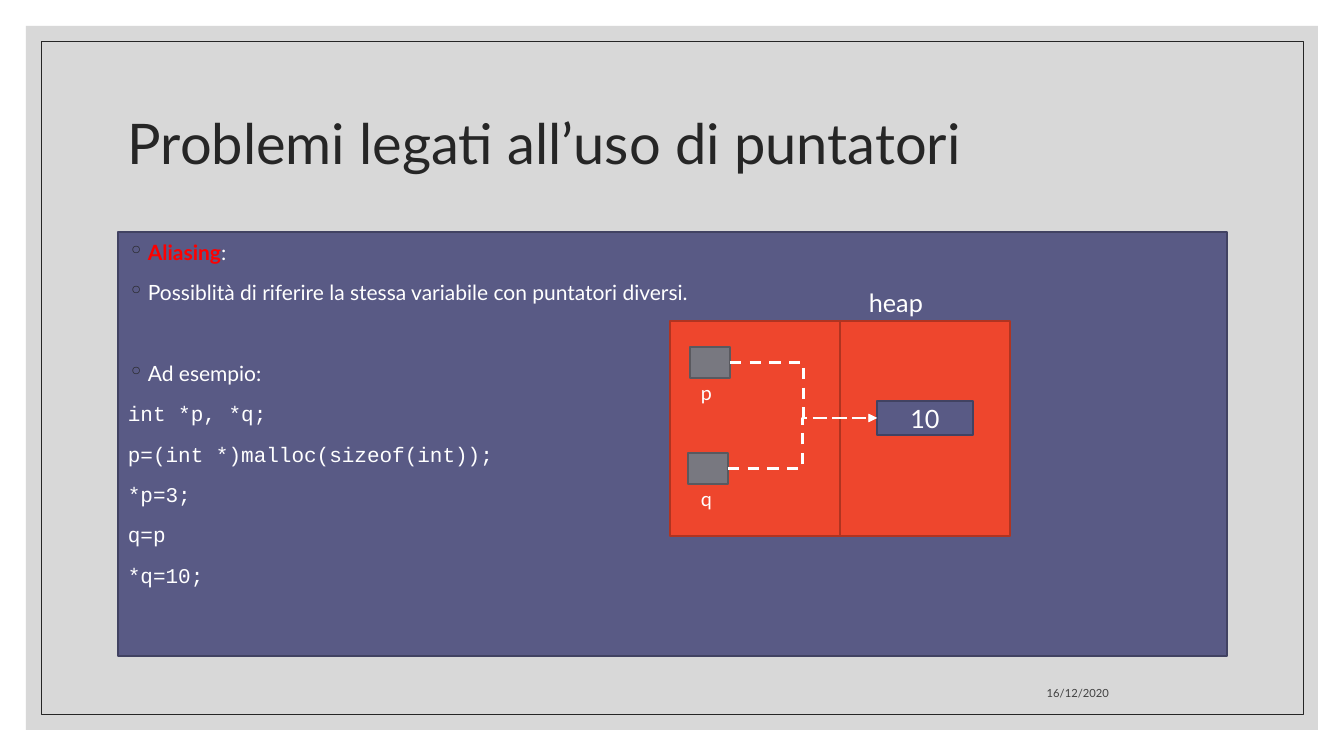
from lxml.etree import SubElement
from pptx import Presentation
from pptx.dml.color import RGBColor
from pptx.enum.dml import MSO_LINE
from pptx.enum.shapes import MSO_CONNECTOR, MSO_SHAPE
from pptx.enum.text import MSO_ANCHOR as Anchor, PP_ALIGN as Align
from pptx.oxml.ns import qn
from pptx.util import Pt

SANS, MONO = "Lato", "Courier New"
WHITE = RGBColor(0xFF, 0xFF, 0xFF)
RED = RGBColor(0xFF, 0x00, 0x00)
INK = RGBColor(0x26, 0x26, 0x26)
DATE_GREY = RGBColor(0x40, 0x40, 0x40)
FRAME_GREY = RGBColor(0xBF, 0xBF, 0xBF)
INDIGO = RGBColor(0x59, 0x5A, 0x85)
INDIGO_EDGE = RGBColor(0x41, 0x42, 0x62)
ORANGE = RGBColor(0xEE, 0x46, 0x2D)
ORANGE_EDGE = RGBColor(0xB0, 0x34, 0x21)
GREY = RGBColor(0x78, 0x78, 0x80)
GREY_EDGE = RGBColor(0x59, 0x59, 0x5F)

TITLE = "Problemi legati all’uso di puntatori"
DATE = "16/12/2020"
HEAP_LABEL = "heap"
HEAP_VALUE = "10"
POINTS = [
    ([("Aliasing", True), (":", False)], 0),
    ([("Possiblità di riferire la stessa variabile con puntatori diversi.", False)], 9),
    ([("Ad esempio:", False)], 38),
]
CODE = ["int *p, *q;", "p=(int *)malloc(sizeof(int));", "*p=3;", "q=p", "*q=10;"]
POINTERS = [("p", 690, 347), ("q", 688, 453)]

HEAP_LEFT, HEAP_TOP, CELL_WIDTH, CELL_HEIGHT = 670, 321, 170, 215
POINTER_WIDTH, POINTER_HEIGHT = 40, 31
BULLET_INDENT = 20


def px(length):
    return round(length * 914400 / 100.8)


deck = Presentation()
deck.slide_width, deck.slide_height = px(1344), px(756)
slide = deck.slides.add_slide(deck.slide_layouts[6])


def add_rect(left, top, width, height, fill=None, edge=None, weight=2):
    rect = slide.shapes.add_shape(
        MSO_SHAPE.RECTANGLE, px(left), px(top), px(width), px(height))
    rect.shadow.inherit = False
    if fill is None:
        rect.fill.background()
    else:
        rect.fill.solid()
        rect.fill.fore_color.rgb = fill
    if edge is None:
        rect.line.fill.background()
    else:
        rect.line.color.rgb = edge
        rect.line.width = Pt(weight)
    return rect


def add_box(left, top, width, height):
    return slide.shapes.add_textbox(px(left), px(top), px(width), px(height))


def write(paragraph, text, size=15, font=SANS, color=WHITE, bold=False,
          align=Align.LEFT, spacing=1.0, before=0):
    paragraph.alignment = align
    paragraph.line_spacing = spacing
    paragraph.space_before = Pt(before)
    run = paragraph.add_run()
    run.text = text
    run.font.size = Pt(size)
    run.font.name = font
    run.font.color.rgb = color
    run.font.bold = bold


def open_text(shape, anchor=Anchor.TOP):
    frame = shape.text_frame
    frame.word_wrap = True
    frame.vertical_anchor = anchor
    return frame.paragraphs[0]


def add_bullet(paragraph):
    properties = paragraph._p.get_or_add_pPr()
    properties.set("marL", str(px(BULLET_INDENT)))
    properties.set("indent", str(-px(BULLET_INDENT)))
    color = SubElement(properties, qn("a:buClr"))
    SubElement(color, qn("a:srgbClr")).set("val", str(INK))
    SubElement(properties, qn("a:buChar")).set("char", "◦")


def add_arrow(source, target):
    arrow = slide.shapes.add_connector(MSO_CONNECTOR.ELBOW, 0, 0, 0, 0)
    arrow.begin_connect(source, 3)
    arrow.end_connect(target, 1)
    arrow.line.color.rgb = WHITE
    arrow.line.width = Pt(2)
    arrow.line.dash_style = MSO_LINE.DASH
    SubElement(arrow.line._get_or_add_ln(), qn("a:tailEnd")).set("type", "triangle")
    SubElement(arrow._element.spPr, qn("a:effectLst"))


frame = add_rect(26, 26, 1292, 704, FRAME_GREY)
frame_color = frame._element.spPr.find(qn("a:solidFill"))[0]
SubElement(frame_color, qn("a:alpha")).set("val", "60000")
add_rect(41, 41, 1262, 673, edge=INK, weight=0.5)

write(open_text(add_box(118, 71, 1109, 151), Anchor.MIDDLE), TITLE,
      size=40, color=INK, spacing=0.9)

panel = add_rect(118, 232, 1109, 424, INDIGO, INDIGO_EDGE, 1)
paragraph = open_text(panel)
for parts, before in POINTS:
    if before:
        paragraph = panel.text_frame.add_paragraph()
    for text, is_term in parts:
        write(paragraph, text, color=RED if is_term else WHITE, bold=is_term,
              spacing=1.1, before=before)
    add_bullet(paragraph)
for statement in CODE:
    write(panel.text_frame.add_paragraph(), statement, font=MONO,
          spacing=1.1, before=9)

write(open_text(add_box(800, 665, 319, 40), Anchor.BOTTOM), DATE,
      size=8, color=DATE_GREY, align=Align.RIGHT)

for column in range(2):
    add_rect(HEAP_LEFT + column * CELL_WIDTH, HEAP_TOP, CELL_WIDTH, CELL_HEIGHT,
             ORANGE, ORANGE_EDGE)
write(open_text(add_box(859, 282, 151, 40)), HEAP_LABEL, size=18)

heap_value = add_rect(877, 401, 96, 34, INDIGO, INDIGO_EDGE)
write(open_text(heap_value, Anchor.MIDDLE), HEAP_VALUE, size=18, align=Align.CENTER)

for name, left, top in POINTERS:
    pointer = add_rect(left, top, POINTER_WIDTH, POINTER_HEIGHT, GREY, GREY_EDGE)
    write(open_text(add_box(691, top + 29, 37, 33)), name, size=14)
    add_arrow(pointer, heap_value)

deck.save("out.pptx")
